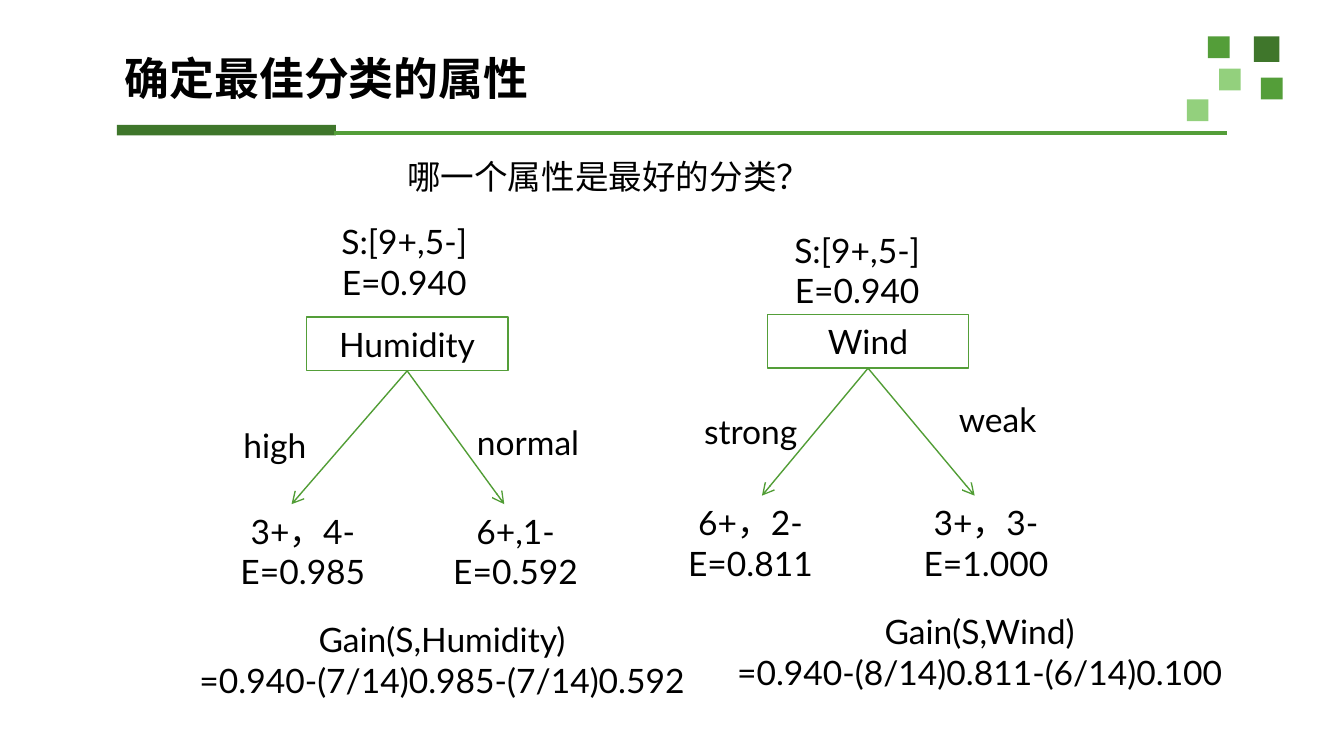
from dataclasses import dataclass

from lxml import etree
from pptx import Presentation
from pptx import util as u
from pptx.dml.color import RGBColor
from pptx.enum import shapes, text
from pptx.oxml import ns

Cm = u.Cm
BLACK = RGBColor(0x00, 0x00, 0x00)
DARK = RGBColor(0x3F, 0x76, 0x2B)
GREEN = RGBColor(0x54, 0x9E, 0x39)
LIGHT = RGBColor(0x93, 0xD0, 0x7D)
ARROW = RGBColor(0x51, 0x9D, 0x35)
LATIN, CHINESE = "Lato", "Noto Sans CJK SC"
ONE_LINE, TWO_LINES = 1.02, 1.78
LEAF_WIDTH = 2.97


@dataclass
class Caption:
    left: float
    top: float
    width: float
    lines: tuple[str, ...]


@dataclass
class Branch:
    label: Caption
    leaf_left: float
    tip: float
    lines: tuple[str, ...]


@dataclass
class Tree:
    sample: Caption
    node: Caption
    leaf_top: float
    branches: tuple[Branch, ...]
    gain: Caption


SQUARES = (
    (23.70, 0.69, 0.48, DARK),
    (22.83, 0.69, 0.41, GREEN),
    (23.83, 1.47, 0.41, GREEN),
    (23.04, 1.30, 0.41, LIGHT),
    (22.43, 1.88, 0.41, LIGHT),
)
QUESTION = Caption(7.16, 2.82, 8.69, ("哪一个属性是最好的分类？",))
SAMPLE = ("S:[9+,5-]", "E=0.940")
TREES = (
    Tree(
        Caption(6.05, 4.06, 3.18, SAMPLE),
        Caption(5.79, 5.99, 3.81, ("Humidity",)),
        9.53,
        (
            Branch(Caption(3.71, 7.90, 2.97, ("high",)), 4.24, 5.51, ("3+，4-", "E=0.985")),
            Branch(Caption(8.61, 7.85, 2.74, ("normal",)), 8.26, 9.53, ("6+,1-", "E=0.592")),
        ),
        Caption(2.54, 11.58, 11.63, ("Gain(S,Humidity)", "=0.940-(7/14)0.985-(7/14)0.592")),
    ),
    Tree(
        Caption(14.61, 4.22, 3.18, SAMPLE),
        Caption(14.50, 5.94, 3.81, ("Wind",)),
        9.37,
        (
            Branch(Caption(12.60, 7.65, 3.18, ("strong",)), 12.70, 14.40, ("6+，2-", "E=0.811")),
            Branch(Caption(17.37, 7.42, 2.97, ("weak",)), 17.15, 18.42, ("3+，3-", "E=1.000")),
        ),
        Caption(12.70, 11.43, 11.63, ("Gain(S,Wind)", "=0.940-(8/14)0.811-(6/14)0.100")),
    ),
)


def set_all(target, values: dict) -> None:
    for name, value in values.items():
        setattr(target, name, value)


def add_span(para, words: str, size: float, latin: str, bold: bool = False) -> None:
    span = para.add_run()
    span.text = words
    set_all(span.font, {"size": u.Pt(size), "name": latin, "bold": bold})
    span.font.color.rgb = BLACK
    east_asian = etree.SubElement(span.font._element, ns.qn("a:ea"))
    east_asian.set("typeface", CHINESE)


def write_lines(box, lines: tuple[str, ...]) -> None:
    frame = box.text_frame
    set_all(frame, {
        "word_wrap": True,
        "auto_size": text.MSO_AUTO_SIZE.SHAPE_TO_FIT_TEXT,
        "vertical_anchor": text.MSO_ANCHOR.TOP,
    })
    for index, words in enumerate(lines):
        para = frame.add_paragraph() if index else frame.paragraphs[0]
        para.alignment = text.PP_ALIGN.CENTER
        add_span(para, words, 18, LATIN)


def add_caption(page, caption: Caption) -> None:
    height = TWO_LINES if len(caption.lines) > 1 else ONE_LINE
    box = page.shapes.add_textbox(
        Cm(caption.left), Cm(caption.top), Cm(caption.width), Cm(height))
    write_lines(box, caption.lines)


def add_rectangle(page, left: float, top: float, width: float, height: float,
                  fill: RGBColor | None = None):
    box = page.shapes.add_shape(
        shapes.MSO_SHAPE.RECTANGLE, Cm(left), Cm(top), Cm(width), Cm(height))
    box.shadow.inherit = False
    if fill is None:
        box.fill.background()
        box.line.color.rgb = GREEN
        box.line.width = u.Pt(0.75)
    else:
        box.fill.solid()
        box.fill.fore_color.rgb = fill
        box.line.fill.background()
    return box


def add_line(page, start: tuple[float, float], end: tuple[float, float],
             color: RGBColor, width: float):
    line = page.shapes.add_connector(
        shapes.MSO_CONNECTOR.STRAIGHT, *(Cm(value) for value in start + end))
    line.line.color.rgb = color
    line.line.width = u.Pt(width)
    etree.SubElement(line._element.spPr, ns.qn("a:effectLst"))
    return line


def add_tree(page, tree: Tree) -> None:
    add_caption(page, tree.sample)
    node = tree.node
    box = add_rectangle(page, node.left, node.top, node.width, ONE_LINE)
    write_lines(box, node.lines)
    root = (node.left + node.width / 2, node.top + ONE_LINE)
    for branch in tree.branches:
        arrow = add_line(page, root, (branch.tip, tree.leaf_top), ARROW, 0.75)
        arrow.begin_connect(box, 2)
        head = etree.SubElement(arrow.line._get_or_add_ln(), ns.qn("a:tailEnd"))
        head.set("type", "arrow")
        add_caption(page, branch.label)
        add_caption(page, Caption(branch.leaf_left, tree.leaf_top, LEAF_WIDTH, branch.lines))
    add_caption(page, tree.gain)


def main() -> None:
    deck = Presentation()
    set_all(deck, {"slide_width": Cm(25.4), "slide_height": Cm(14.29)})
    page = deck.slides.add_slide(deck.slide_layouts[5])

    # Corner squares and title rule
    for left, top, side, color in SQUARES:
        add_rectangle(page, left, top, side, side, color)
    add_rectangle(page, 2.21, 2.36, 4.14, 0.2, DARK)
    add_line(page, (6.32, 2.51), (23.19, 2.51), GREEN, 2)

    # Title
    title = page.shapes.title
    set_all(title, {"left": Cm(2.16), "top": Cm(0.66), "width": Cm(21.49), "height": Cm(1.75)})
    set_all(title.text_frame, {
        "margin_left": Cm(0.2), "margin_right": Cm(0.2),
        "margin_top": Cm(0.1), "margin_bottom": Cm(0.1),
        "vertical_anchor": text.MSO_ANCHOR.MIDDLE, "word_wrap": True,
    })
    para = title.text_frame.paragraphs[0]
    set_all(para, {"alignment": text.PP_ALIGN.LEFT, "line_spacing": 0.9})
    add_span(para, "确定最佳分类的属性", 24, CHINESE, bold=True)

    # Question and the two attribute trees
    add_caption(page, QUESTION)
    for tree in TREES:
        add_tree(page, tree)

    deck.save("out.pptx")


if __name__ == "__main__":
    main()
